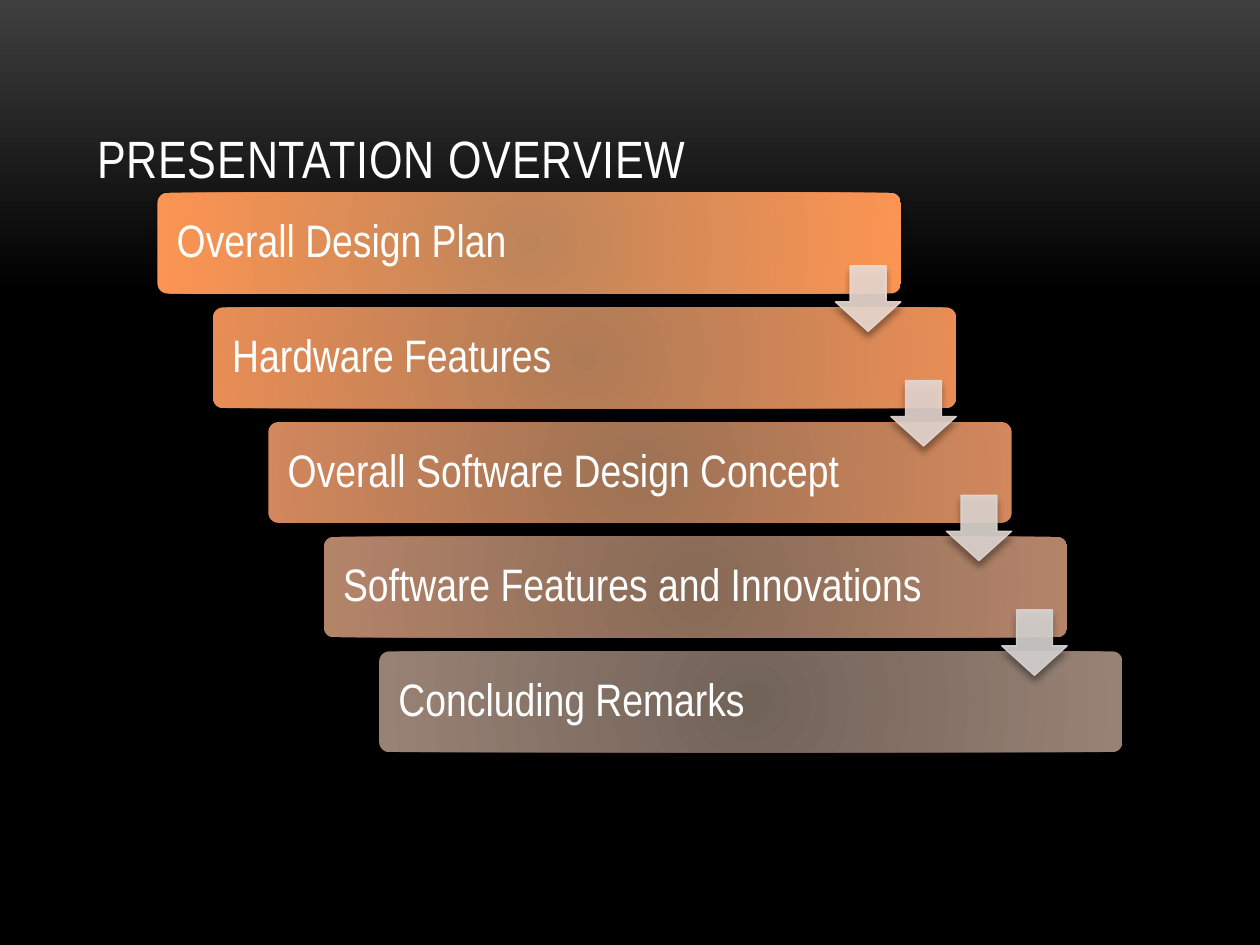
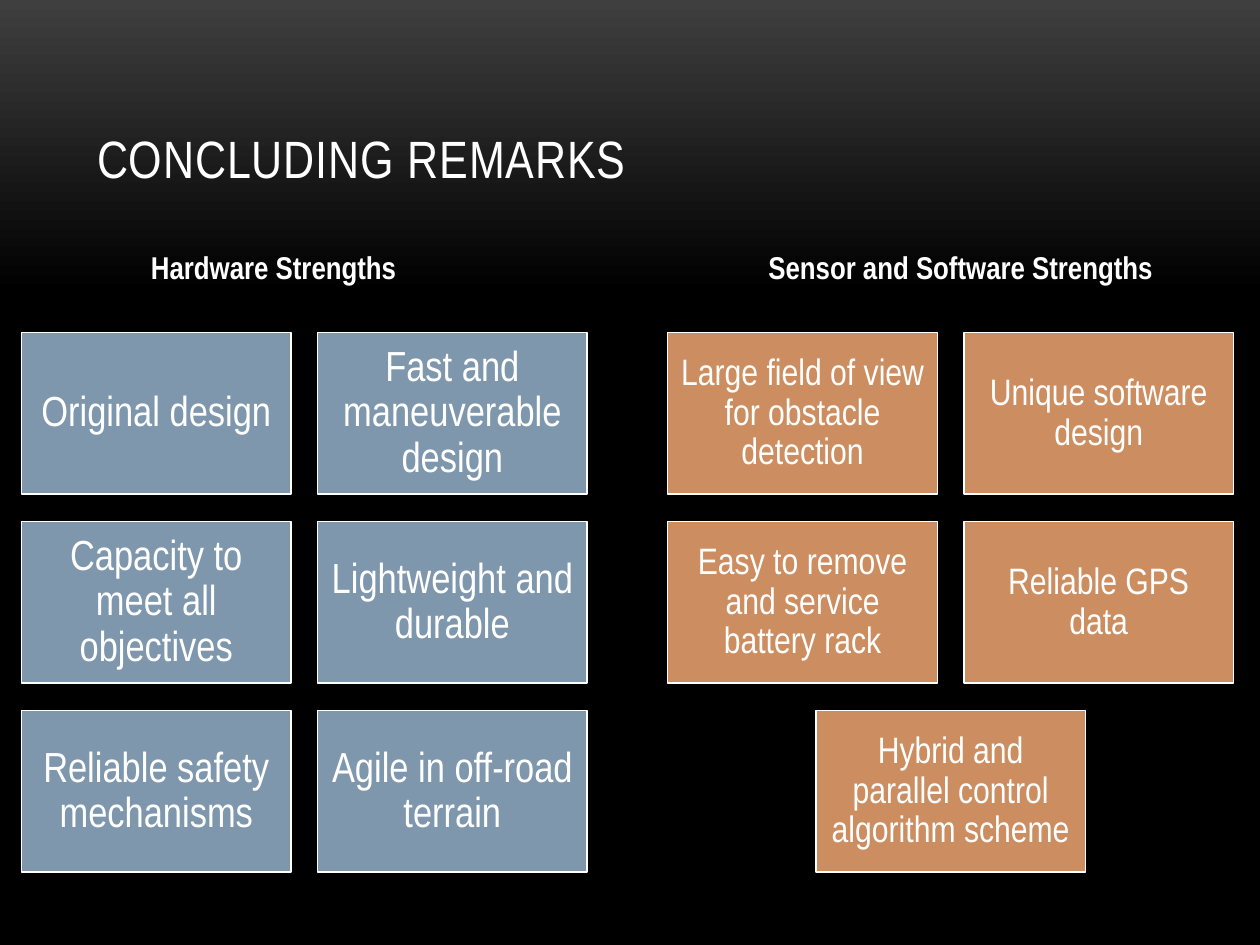
from lxml import etree
from pptx import Presentation
from pptx.dml.color import RGBColor
from pptx.enum.shapes import MSO_SHAPE
from pptx.enum.text import MSO_ANCHOR, MSO_AUTO_SIZE, PP_ALIGN
from pptx.oxml import parse_xml
from pptx.oxml.ns import nsdecls, qn
from pptx.util import Inches, Pt

FONT = "Arial Narrow"
WHITE = "FFFFFF"
BLUE = "7E97AD"
ORANGE = "CC8E60"
BACKGROUND = [(0, "3F3F3F"), (31, "000000"), (100, "000000")]
LINEAR = '<a:lin ang="5400000" scaled="0"/>'
CIRCLE = ('<a:path path="circle"><a:fillToRect l="100000" t="100000" '
          'r="100000" b="100000"/></a:path>')

STEPS = [
    ("Overall Design Plan", "BE8459", "FC9553"),
    ("Hardware Features", "AF7B56", "E88D56"),
    ("Overall Software Design Concept", "9E7254", "D2875C"),
    ("Software Features and Innovations", "876A57", "B48469"),
    ("Concluding Remarks", "726359", "988274"),
]
ARROW_COLORS = ["ECDBD2", "E6D8D1", "DFD6D1", "D7D4D2"]
HARDWARE = [
    "Original design", "Fast and maneuverable design",
    "Capacity to meet all objectives", "Lightweight and durable",
    "Reliable safety mechanisms", "Agile in off-road terrain",
]
SOFTWARE = [
    "Large field of view for obstacle detection", "Unique software design",
    "Easy to remove and service battery rack", "Reliable GPS data",
    "Hybrid and parallel control algorithm scheme",
]


def rgb(color):
    return RGBColor.from_string(color)


def set_gradient(fill, parent, stops, shade):
    fill.solid()
    solid = parent.find(".//" + qn("a:solidFill"))
    gs = "".join(f'<a:gs pos="{pos * 1000}"><a:srgbClr val="{color}"/></a:gs>'
                 for pos, color in stops)
    solid.getparent().replace(solid, parse_xml(
        f'<a:gradFill {nsdecls("a")} rotWithShape="1">'
        f'<a:gsLst>{gs}</a:gsLst>{shade}</a:gradFill>'))


def set_alpha(sp, percent):
    for clr in sp._element.spPr.iter(qn("a:srgbClr")):
        etree.SubElement(clr, qn("a:alpha"), val=str(percent * 1000))


def add_shadow(sp, distance):
    effects = sp._element.spPr.find(qn("a:effectLst"))
    effects.append(parse_xml(
        f'<a:outerShdw {nsdecls("a")} blurRad="{Pt(4)}" dist="{Pt(distance)}" '
        'dir="5400000" rotWithShape="0"><a:srgbClr val="000000">'
        '<a:alpha val="40000"/></a:srgbClr></a:outerShdw>'))


class Deck:
    def __init__(self):
        self.prs = Presentation()
        self.prs.slide_width = Inches(10)
        self.prs.slide_height = Inches(7.5)
        master = self.prs.slide_master
        set_gradient(master.background.fill, master.element, BACKGROUND, LINEAR)
        self.s = None

    def run(self, tf, text, size, bold=False, align=PP_ALIGN.LEFT):
        p = tf.paragraphs[0]
        p.alignment = align
        r = p.add_run()
        r.text = text
        r.font.name = FONT
        r.font.size = Pt(size)
        r.font.bold = bold
        r.font.color.rgb = rgb(WHITE)
        return r

    def slide(self, title):
        self.s = self.prs.slides.add_slide(self.prs.slide_layouts[5])
        sp = self.s.shapes.title
        sp.left, sp.top = Inches(0.67), Inches(0.3)
        sp.width, sp.height = Inches(8.67), Inches(1.25)
        tf = sp.text_frame
        tf.auto_size = MSO_AUTO_SIZE.NONE
        tf.vertical_anchor = MSO_ANCHOR.BOTTOM
        r = self.run(tf, title, 30)
        r.font._element.set("spc", "50")

    def shape(self, kind, x, y, w, h, adjustments=()):
        sp = self.s.shapes.add_shape(kind, Inches(x), Inches(y), Inches(w), Inches(h))
        sp.shadow.inherit = False
        for i, value in enumerate(adjustments):
            sp.adjustments[i] = value
        return sp

    def fill(self, sp, fill, line, width):
        sp.fill.solid()
        sp.fill.fore_color.rgb = rgb(fill)
        sp.line.color.rgb = rgb(line)
        sp.line.width = Pt(width)

    def label(self, sp, text, size, margin, align):
        tf = sp.text_frame
        tf.word_wrap = True
        tf.vertical_anchor = MSO_ANCHOR.MIDDLE
        tf.margin_left = tf.margin_right = Inches(margin)
        tf.margin_top = tf.margin_bottom = Inches(margin)
        self.run(tf, text, size, align=align)
        tf.paragraphs[0].line_spacing = 0.9

    def bar(self, x, y, text, inner, outer):
        sp = self.shape(MSO_SHAPE.ROUNDED_RECTANGLE, x, y, 5.9, 0.8, [0.1])
        set_gradient(sp.fill, sp._element.spPr, [(0, inner), (100, outer)], CIRCLE)
        sp.line.fill.background()
        add_shadow(sp, 2)
        self.label(sp, text, 26, 0.13, PP_ALIGN.LEFT)

    def arrow(self, x, y, color):
        sp = self.shape(MSO_SHAPE.DOWN_ARROW, x, y, 0.52, 0.52, [0.55, 0.45])
        self.fill(sp, color, color, 0.75)
        set_alpha(sp, 90)
        add_shadow(sp, 3.4)

    def heading(self, x, w, text):
        sp = self.s.shapes.add_textbox(Inches(x), Inches(1.92), Inches(w), Inches(0.4))
        sp.text_frame.word_wrap = False
        sp.text_frame.auto_size = MSO_AUTO_SIZE.SHAPE_TO_FIT_TEXT
        self.run(sp.text_frame, text, 18, bold=True)

    def cards(self, left, texts, color, size, margin):
        for i, text in enumerate(texts):
            row, col = divmod(i, 2)
            alone = col == 0 and i == len(texts) - 1
            x = left + 2.35 * (0.5 if alone else col)
            sp = self.shape(MSO_SHAPE.RECTANGLE, x, 2.64 + 1.5 * row, 2.14, 1.28)
            self.fill(sp, color, WHITE, 0.85)
            self.label(sp, text, size, margin, PP_ALIGN.CENTER)


def main():
    deck = Deck()

    deck.slide("PRESENTATION OVERVIEW")
    for i, step in enumerate(STEPS):
        deck.bar(1.25 + 0.44 * i, 1.53 + 0.91 * i, *step)
    for i, color in enumerate(ARROW_COLORS):
        deck.arrow(6.63 + 0.44 * i, 2.11 + 0.91 * i, color)

    deck.slide("CONCLUDING REMARKS")
    deck.cards(0.17, HARDWARE, BLUE, 24, 0.1)
    deck.heading(1.1, 2.17, "Hardware Strengths")
    deck.heading(6, 3.29, "Sensor and Software Strengths")
    deck.cards(5.3, SOFTWARE, ORANGE, 21, 0.09)

    deck.prs.save("out.pptx")


if __name__ == "__main__":
    main()
